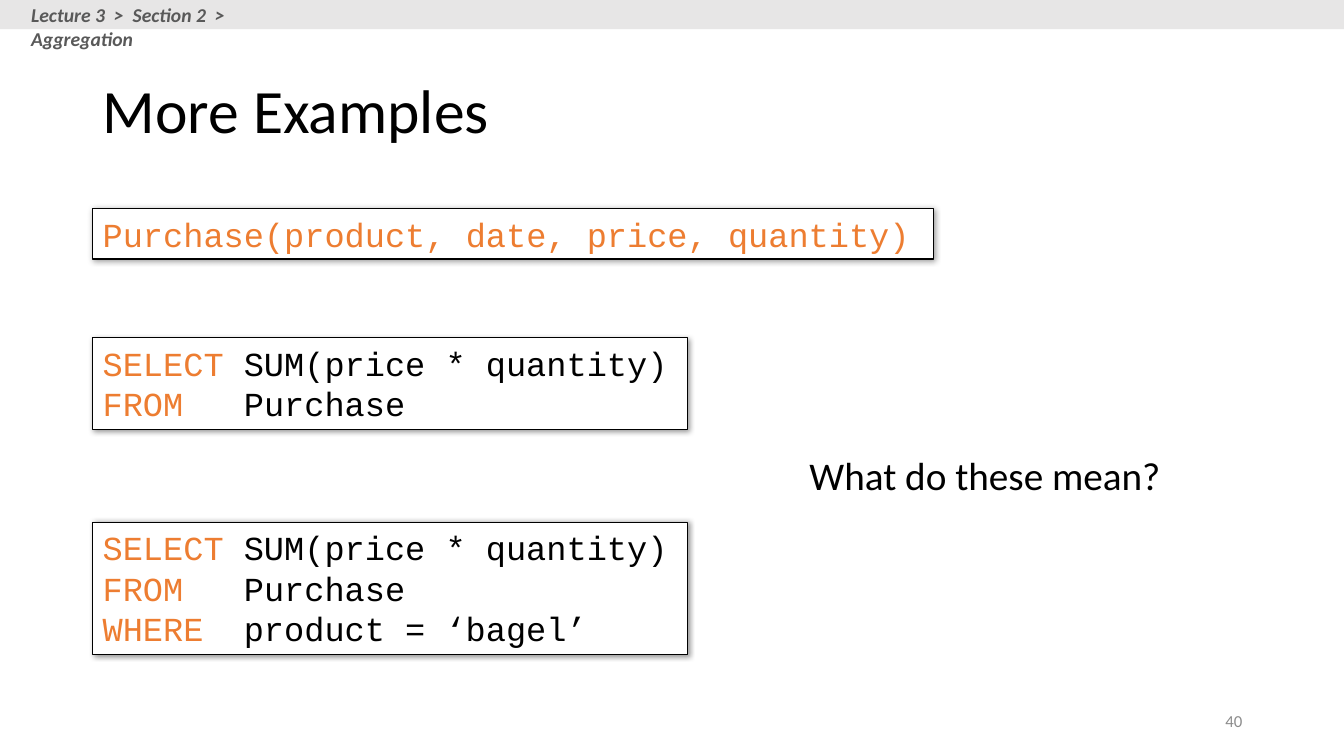
"""Build the lecture slide with aggregation query examples."""
from lxml.etree import SubElement as Sub
from pptx import Presentation
from pptx.dml.color import RGBColor
from pptx.enum.shapes import MSO_SHAPE as Shape
from pptx.enum.text import MSO_ANCHOR as Anchor, MSO_AUTO_SIZE as Fit, PP_ALIGN as Align
from pptx.oxml.ns import qn
from pptx.util import Inches, Pt

BLACK = RGBColor(0x00, 0x00, 0x00)
WHITE = RGBColor(0xFF, 0xFF, 0xFF)
ORANGE = RGBColor(0xED, 0x7D, 0x31)
BAND = RGBColor(0xE7, 0xE6, 0xE6)
SLATE = RGBColor(0x59, 0x59, 0x59)
GREY = RGBColor(0x8C, 0x8C, 0x8C)


def write(para, text, color, **form):
    run = para.add_run()
    run.text = text
    run.font.color.rgb = color
    for key, val in form.items():
        setattr(run.font, key, val)


def block(left, top, wide, high, fill):
    box = slide.shapes.add_shape(
        Shape.RECTANGLE, Inches(left), Inches(top), Inches(wide), Inches(high))
    box.shadow.inherit = False
    box.fill.solid()
    box.fill.fore_color.rgb = fill
    box.line.fill.background()
    return box


deck = Presentation()
deck.slide_width = Inches(13.33)
deck.slide_height = Inches(7.5)
slide = deck.slides.add_slide(deck.slide_layouts[5])

title = slide.shapes.title
for key, val in dict(left=0.92, top=0.4, width=11.5, height=1.45).items():
    setattr(title, key, Inches(val))
frame = title.text_frame
frame.auto_size = Fit.NONE
frame.vertical_anchor = Anchor.MIDDLE
para = frame.paragraphs[0]
para.alignment = Align.LEFT
para.line_spacing = 0.9
write(para, "More Examples", BLACK, name="Calibri", size=Pt(44))

total = [("SELECT", " SUM(price * quantity)"), ("FROM", "   Purchase")]
codes = [
    (2.07, 8.34, 0.5, [("Purchase(product, date, price, quantity)", "")]),
    (3.35, 5.9, 0.91, total),
    (5.18, 5.9, 1.31, total + [("WHERE ", " product = ‘bagel’")]),
]
for top, wide, high, lines in codes:
    box = block(0.92, top, wide, high, WHITE)
    box.line.color.rgb = BLACK
    box.line.width = Pt(0.75)
    glow = Sub(box.element.spPr.find(qn("a:effectLst")), qn("a:outerShdw"),
               blurRad=str(Pt(4)), dist=str(Pt(1)), dir="2700000",
               algn="tl", rotWithShape="0")
    tint = Sub(glow, qn("a:srgbClr"), val=str(BLACK))
    Sub(tint, qn("a:alpha"), val="40000")
    frame = box.text_frame
    frame.word_wrap = False
    frame.vertical_anchor = Anchor.TOP
    for row, (word, rest) in enumerate(lines):
        para = frame.add_paragraph() if row else frame.paragraphs[0]
        para.alignment = Align.LEFT
        for text, color in ((word, ORANGE), (rest, BLACK)):
            if text:
                write(para, text, color, name="Courier New", size=Pt(24))

block(0, 0, 13.33, 0.29, BAND)

notes = [
    ((0.21, -0.02, 3.17, 0.34), "Lecture 3  >  Section 2  >  Aggregation",
     SLATE, Align.LEFT, Anchor.TOP, dict(size=Pt(14), bold=True, italic=True)),
    ((7.93, 4.43, 3.69, 0.57), "What do these mean?",
     BLACK, Align.LEFT, Anchor.TOP, dict(size=Pt(28))),
    ((9.42, 6.95, 3, 0.4), "40",
     GREY, Align.RIGHT, Anchor.MIDDLE, dict(size=Pt(12))),
]
for place, text, color, align, anchor, form in notes:
    frame = slide.shapes.add_textbox(*map(Inches, place)).text_frame
    frame.word_wrap = True
    frame.vertical_anchor = anchor
    para = frame.paragraphs[0]
    para.alignment = align
    write(para, text, color, name="Calibri", **form)

deck.save("out.pptx")
